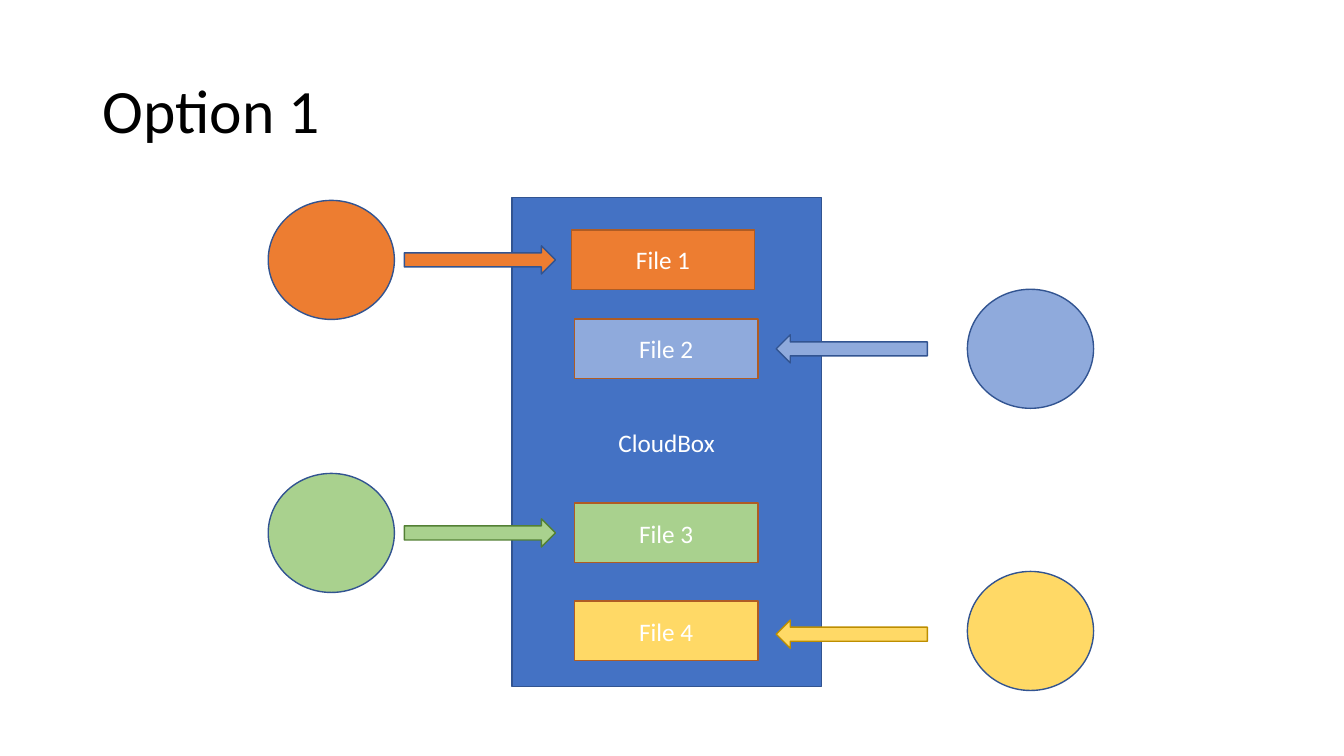
from collections import namedtuple

from pptx import Presentation
from pptx.dml.color import RGBColor
from pptx.enum.shapes import MSO_SHAPE
from pptx.enum.text import MSO_ANCHOR, PP_ALIGN
from pptx.util import Cm, Pt

RECTANGLE = MSO_SHAPE.RECTANGLE
ELLIPSE = MSO_SHAPE.OVAL
ARROW = MSO_SHAPE.RIGHT_ARROW
MIDDLE = MSO_ANCHOR.MIDDLE
CENTER = PP_ALIGN.CENTER

BLACK = RGBColor(0x00, 0x00, 0x00)
WHITE = RGBColor(0xFF, 0xFF, 0xFF)
BLUE = RGBColor(0x44, 0x72, 0xC4)
DARK_BLUE = RGBColor(0x32, 0x54, 0x91)
LIGHT_BLUE = RGBColor(0x8F, 0xAA, 0xDC)
ORANGE = RGBColor(0xED, 0x7D, 0x31)
DARK_ORANGE = RGBColor(0xAF, 0x5C, 0x24)
GREEN = RGBColor(0xA9, 0xD1, 0x8E)
DARK_GREEN = RGBColor(0x53, 0x80, 0x35)
YELLOW = RGBColor(0xFF, 0xD9, 0x66)
DARK_YELLOW = RGBColor(0xBD, 0x8E, 0x00)

FONT = "Calibri"
FILE_SIZE = (4.62, 1.5)
USER_SIZE = (3.18, 3.0)
ARROW_SIZE = (3.81, 0.71)

Box = namedtuple("Box", "left top width height")
Side = namedtuple("Side", "user_left arrow_left rotation")
File = namedtuple("File", "name left middle arrow_middle side fill arrow_line")

LEFT_SIDE = Side(-6.14, -2.71, 0)
RIGHT_SIDE = Side(11.48, 6.66, 180)
FILES = [
    File("File 1", 1.5, 1.57, 1.57, LEFT_SIDE, ORANGE, DARK_BLUE),
    File("File 2", 1.58, 3.81, 3.81, RIGHT_SIDE, LIGHT_BLUE, DARK_BLUE),
    File("File 3", 1.58, 8.45, 8.45, LEFT_SIDE, GREEN, DARK_GREEN),
    File("File 4", 1.58, 10.92, 11.0, RIGHT_SIDE, YELLOW, DARK_YELLOW),
]


def write(shape, text, size, color):
    """Set one paragraph of vertically centred text and return it."""
    frame = shape.text_frame
    frame.text = text
    frame.word_wrap = True
    frame.vertical_anchor = MIDDLE
    para = frame.paragraphs[0]
    font = para.runs[0].font
    font.name, font.size, font.color.rgb = FONT, Pt(size), color
    return para


def add_block(page, kind, box, fill, line, text=None):
    """Add a filled and outlined shape, with a centred label if given."""
    shape = page.shapes.add_shape(kind, *map(Cm, box))
    shape.shadow.inherit = False
    shape.fill.solid()
    shape.fill.fore_color.rgb = fill
    shape.line.color.rgb = line
    shape.line.width = Pt(1)
    if text:
        write(shape, text, 18, WHITE).alignment = CENTER
    return shape


def add_title(page, box, text):
    """Add the slide title."""
    title = page.shapes.add_textbox(*map(Cm, box))
    write(title, text, 44, BLACK).line_spacing = 0.9


def add_storage(page, box, name):
    """Add the shared storage with its files, users and arrows."""

    def placed(left, middle, size):
        """Return a box centred on a height within the storage."""
        width, height = size
        return Box(box.left + left, box.top + middle - height / 2, width, height)

    add_block(page, RECTANGLE, box, BLUE, DARK_BLUE, name)
    for file in FILES:
        side = file.side
        file_box = placed(file.left, file.middle, FILE_SIZE)
        user_box = placed(side.user_left, file.middle, USER_SIZE)
        arrow_box = placed(side.arrow_left, file.arrow_middle, ARROW_SIZE)
        add_block(page, RECTANGLE, file_box, file.fill, DARK_ORANGE, file.name)
        add_block(page, ELLIPSE, user_box, file.fill, DARK_BLUE)
        arrow = add_block(page, ARROW, arrow_box, file.fill, file.arrow_line)
        arrow.rotation = side.rotation


deck = Presentation()
deck.slide_width, deck.slide_height = Cm(33.87), Cm(19.05)
page = deck.slides.add_slide(deck.slide_layouts[6])
add_title(page, Box(2.33, 1.01, 29.21, 3.68), "Option 1")
add_storage(page, Box(12.98, 4.98, 7.87, 12.42)._replace(left=12.9, width=7.8, height=12.32), "CloudBox")
deck.save("out.pptx")
